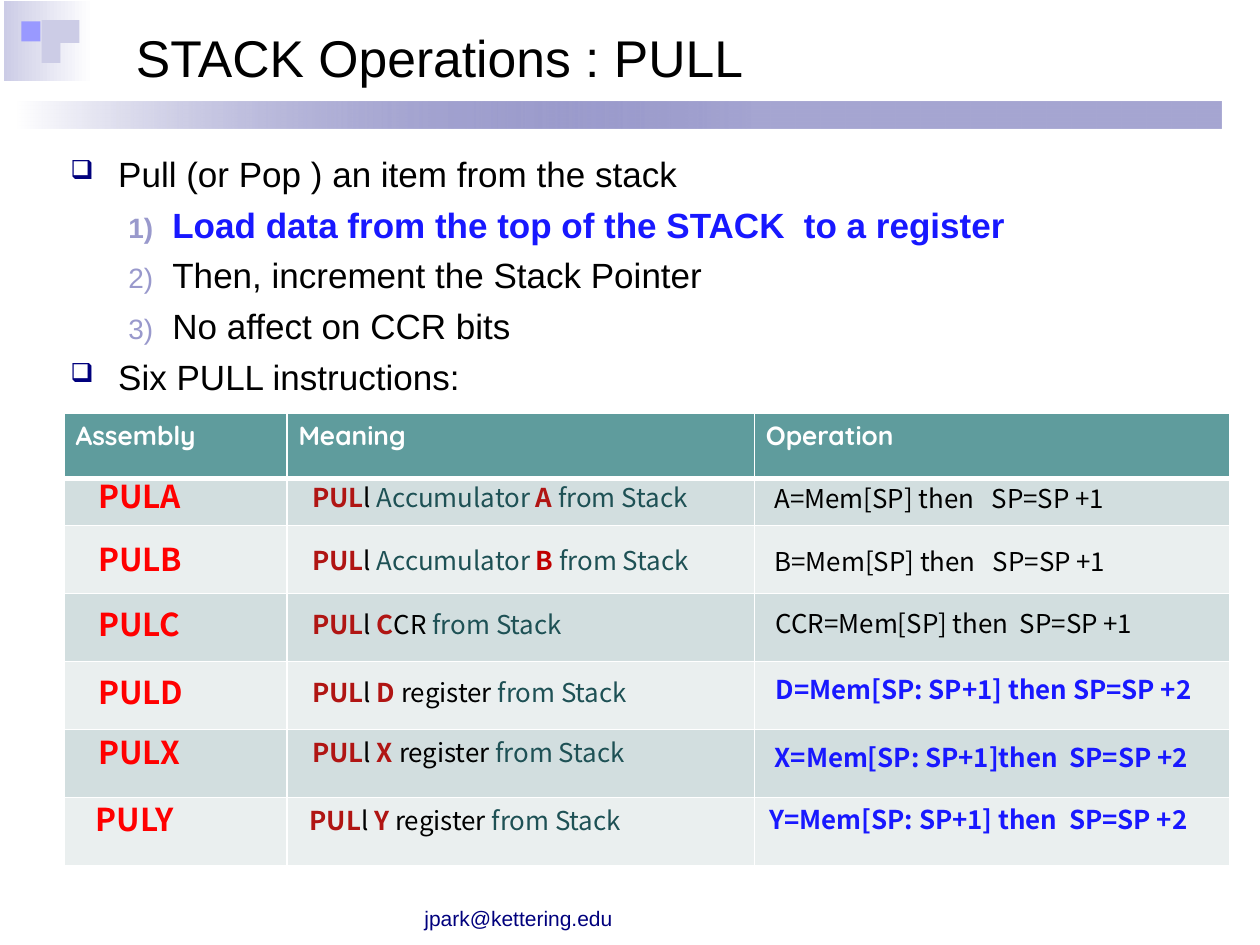
"""Build the slide on the PULL stack operations."""
from lxml import etree
from pptx import Presentation
from pptx import util as u
from pptx.dml import color
from pptx.enum import shapes, text
from pptx.oxml import ns

COLORS = {
    "black": "000000", "white": "FFFFFF", "navy": "00007D", "blue": "1818FF",
    "lilac": "CCCCE6", "violet": "9999FF", "number": "9999CC", "red": "FF0000",
    "dark_red": "B01513", "crimson": "C00000", "teal": "1E5155",
    "header": "5F9C9D", "odd": "D2DEDF", "even": "EAEFEF",
}
RGB = {name: color.RGBColor.from_string(value) for name, value in COLORS.items()}
CJK = "Noto Sans CJK KR"


def write(p, content, size=20, font="Arial", fill="black", bold=False):
    r = p.add_run()
    r.text = content
    r.font.size = u.Pt(size)
    r.font.name = font
    r.font.bold = bold
    r.font.color.rgb = RGB[fill]
    for tag in ("a:ea", "a:sym"):
        etree.SubElement(r.font._element, ns.qn(tag), typeface=font)


def add_box(x, y, w, h, grow=True):
    tf = s.shapes.add_textbox(*map(u.Inches, (x, y, w, h))).text_frame
    tf.word_wrap = True
    if grow:
        tf.auto_size = text.MSO_AUTO_SIZE.SHAPE_TO_FIT_TEXT
    return tf


prs = Presentation()
prs.slide_width, prs.slide_height = u.Inches(10), u.Inches(7.5)
s = prs.slides.add_slide(prs.slide_layouts[6])

decor = [
    (0.03, 0.01, 0.71, 0.63, ("lilac", "white"), 1),
    (0.14, 0.81, 9.55, 0.21, ("white", "navy"), 0.61),
    (0.33, 0.16, 0.30, 0.18, ("lilac",), 1),
    (0.33, 0.34, 0.15, 0.16, ("lilac",), 1),
    (0.17, 0.17, 0.15, 0.16, ("violet",), 1),
]
for x, y, w, h, fills, end in decor:
    sp = s.shapes.add_shape(shapes.MSO_SHAPE.RECTANGLE, *map(u.Inches, (x, y, w, h)))
    sp.shadow.inherit = False
    sp.line.fill.background()
    if len(fills) == 1:
        sp.fill.solid()
        sp.fill.fore_color.rgb = RGB[fills[0]]
        continue
    sp.fill.gradient()
    sp.fill.gradient_angle = 0
    for stop, fill, position in zip(sp.fill.gradient_stops, fills, (0, end)):
        stop.color.rgb = RGB[fill]
        stop.position = position
    if fills[1] == "navy":
        last = sp._element.spPr.findall(".//" + ns.qn("a:srgbClr"))[-1]
        etree.SubElement(last, ns.qn("a:alpha"), val="35000")

tf = add_box(3.27, 7.14, 1.73, 0.3)
write(tf.paragraphs[0], "jpark@kettering.edu", size=12, fill="navy")

tf = add_box(0.98, 0.13, 7.72, 0.64, grow=False)
tf.vertical_anchor = text.MSO_ANCHOR.MIDDLE
write(tf.paragraphs[0], "STACK Operations : PULL", size=29.5)

body = [
    (0, "Pull (or Pop ) an item from the stack", {}),
    (1, "Load data from the top of the STACK  to a register", {"fill": "blue", "bold": True}),
    (1, "Then, increment the Stack Pointer", {}),
    (1, "No affect on CCR bits", {}),
    (0, "Six PULL instructions:", {}),
]
levels = [
    (0.38, 0.38, "navy", "75000", "a:buChar", {"char": "❑"}),
    (0.81, 0.35, "number", "80000", "a:buAutoNum", {"type": "arabicParenR"}),
]
tf = add_box(0.46, 1.16, 9.18, 2.1, grow=False)
for i, (level, content, fmt) in enumerate(body):
    p = tf.add_paragraph() if i else tf.paragraphs[0]
    p.level = level
    p.space_before = u.Pt(5 if i else 0)
    left, hang, fill, scale, tag, attrs = levels[level]
    pPr = p._p.get_or_add_pPr()
    pPr.set("marL", str(u.Inches(left)))
    pPr.set("indent", str(-u.Inches(hang)))
    clr = etree.SubElement(pPr, ns.qn("a:buClr"))
    etree.SubElement(clr, ns.qn("a:srgbClr"), val=COLORS[fill])
    etree.SubElement(pPr, ns.qn("a:buSzPct"), val=scale)
    etree.SubElement(pPr, ns.qn(tag), attrs)
    write(p, content, **fmt)

headings = ["Assembly", "Meaning", "Operation"]
col_widths = [1.77, 3.71, 3.77]
row_heights = [0.52, 0.37] + [0.54] * 5
table = s.shapes.add_table(7, 3, *map(u.Inches, (0.51, 3.28, 9.25, 3.58))).table
for col, width in zip(table.columns, col_widths):
    col.width = u.Inches(width)
for i, height in enumerate(row_heights):
    table.rows[i].height = u.Inches(height)
    for j, heading in enumerate(headings):
        cell = table.cell(i, j)
        cell.fill.solid()
        cell.fill.fore_color.rgb = RGB["header" if i == 0 else "odd" if i % 2 else "even"]
        cell.margin_left = cell.margin_right = u.Inches(0.09)
        cell.margin_top = cell.margin_bottom = u.Inches(0 if i else 0.05)
        if i == 0:
            write(cell.text_frame.paragraphs[0], heading, size=15, font="Quicksand",
                  fill="white", bold=True)
        tcPr = cell._tc.get_or_add_tcPr()
        for k, side in enumerate("LRTB"):
            thick = (i, side) in ((0, "B"), (1, "T"))
            ln = etree.Element(ns.qn("a:ln" + side), w=str(u.Pt(3 if thick else 1)))
            solid = etree.SubElement(ln, ns.qn("a:solidFill"))
            etree.SubElement(solid, ns.qn("a:srgbClr"), val=COLORS["white"])
            tcPr.insert(k, ln)

stack = (" from Stack", "teal")
register = ("register", "black")
accumulator = [("l ", "black"), ("Accumulator ", "teal")]
instructions = [
    ("PULA", 0.68, 3.74, 3.77, accumulator + [("A", "dark_red"), stack],
     6.05, 3.78, "A=Mem[SP] then   SP=SP +1"),
    ("PULB", 0.68, 4.24, 4.27, accumulator + [("B", "crimson"), stack],
     6.05, 4.28, "B=Mem[SP] then   SP=SP +1"),
    ("PULC", 0.68, 4.75, 4.78, [("l", "black"), (" C", "dark_red"), ("CR", "black"), stack],
     6.06, 4.77, "CCR=Mem[SP] then  SP=SP +1"),
    ("PULD", 0.68, 5.29, 5.32, [("l", "black"), (" D ", "dark_red"), register, stack],
     6.06, 5.30, "D=Mem[SP: SP+1] then SP=SP +2"),
    ("PULX", 0.68, 5.77, 5.80, [("l", "black"), (" X ", "dark_red"), register, stack],
     6.05, 5.84, "X=Mem[SP: SP+1]then  SP=SP +2"),
    ("PULY", 0.66, 6.30, 6.34, [("l", "black"), (" Y ", "dark_red"), register, stack],
     6.01, 6.33, "Y=Mem[SP: SP+1] then  SP=SP +2"),
]
for name, x, name_y, meaning_y, meaning, op_x, op_y, operation in instructions:
    tf = add_box(x, name_y, 1.53, 0.4)
    write(tf.paragraphs[0], name, size=18, font=CJK, fill="red", bold=True)
    tf = add_box(x + 1.7, meaning_y, 3.59, 0.35)
    for content, fill in [("PUL", "dark_red")] + meaning:
        write(tf.paragraphs[0], content, size=14.8, font=CJK, fill=fill,
              bold=fill in ("dark_red", "crimson"))
    tf = add_box(op_x, op_y, 3.7, 0.35)
    wide = "SP+1]" in operation
    write(tf.paragraphs[0], operation, size=14.8, font=CJK,
          fill="blue" if wide else "black", bold=wide)

prs.save("out.pptx")
